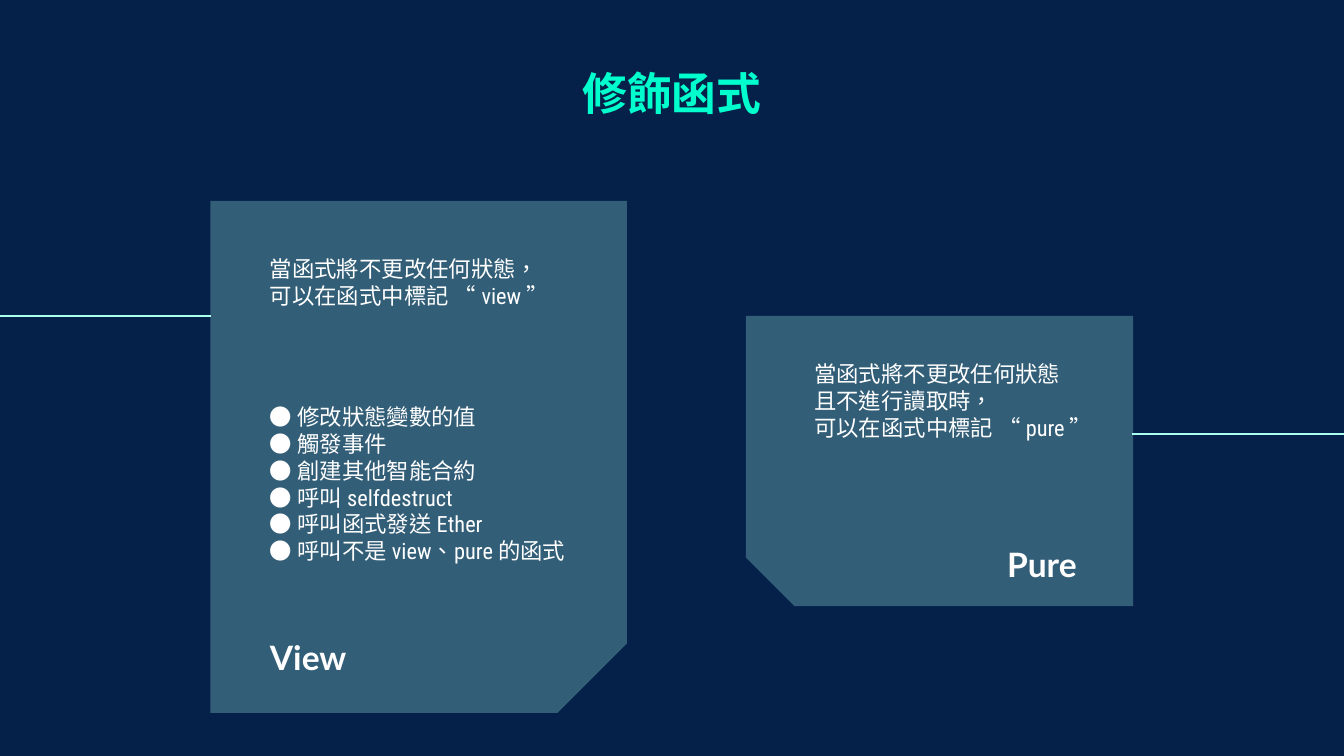
from pptx import Presentation
from pptx.dml.color import RGBColor
from pptx.enum.shapes import MSO_CONNECTOR, MSO_SHAPE
from pptx.enum.text import MSO_ANCHOR, MSO_AUTO_SIZE, PP_ALIGN
from pptx.oxml.ns import qn
from pptx.util import Inches, Pt
from lxml.etree import SubElement

COLORS = {"navy": "05214A", "mint": "AAFFEE", "green": "00FFCD", "white": "FFFFFF"}
HEAD_FONT, BODY_FONT = "Lato", "Roboto Condensed"

VIEW_RULE = ["當函式將不更改任何狀態，", "可以在函式中標記 “ view ”"]
PURE_RULE = ["當函式將不更改任何狀態", "且不進行讀取時，", "可以在函式中標記 “ pure ”"]
STATE_CHANGES = [
    "修改狀態變數的值",
    "觸發事件",
    "創建其他智能合約",
    "呼叫 selfdestruct",
    "呼叫函式發送 Ether",
    "呼叫不是 view、pure 的函式",
]


def rgb(name):
    return RGBColor.from_string(COLORS[name])


def add_card(slide, x, y, w, h, rotation, flip=False):
    """Add a translucent card with one snipped corner; the box is given before rotation."""
    sp = slide.shapes.add_shape(MSO_SHAPE.SNIP_1_RECTANGLE,
                                Inches(x), Inches(y), Inches(w), Inches(h))
    sp.adjustments[0] = 0.167
    sp.rotation = rotation
    if flip:
        sp.element.spPr.find(qn("a:xfrm")).set("flipH", "1")
    sp.shadow.inherit = False
    sp.line.fill.background()
    sp.fill.solid()
    sp.fill.fore_color.rgb = rgb("mint")
    color = sp.element.spPr.find(qn("a:solidFill"))[0]
    SubElement(color, qn("a:alpha")).set("val", "28000")


def add_rule(slide, x1, x2, y):
    line = slide.shapes.add_connector(MSO_CONNECTOR.STRAIGHT,
                                      Inches(x1), Inches(y), Inches(x2), Inches(y))
    line.line.color.rgb = rgb("mint")
    line.line.width = Pt(0.75)
    SubElement(line.element.spPr, qn("a:effectLst"))


def add_text(slide, x, y, w, h, lines, size=12, font=BODY_FONT, color="white",
             bold=False, align=PP_ALIGN.LEFT, anchor=MSO_ANCHOR.TOP, inset=0.1):
    sp = slide.shapes.add_textbox(Inches(x), Inches(y), Inches(w), Inches(h))
    tf = sp.text_frame
    tf.word_wrap = True
    tf.vertical_anchor = anchor
    tf.margin_top = tf.margin_bottom = Inches(inset)
    for i, line in enumerate(lines):
        p = tf.add_paragraph() if i else tf.paragraphs[0]
        p.alignment = align
        r = p.add_run()
        r.text = line
        r.font.size = Pt(size)
        r.font.name = font
        r.font.bold = bold
        r.font.color.rgb = rgb(color)
        r._r.get_or_add_rPr().set("lang", "zh-TW")
    return tf


def add_heading(slide, x, y, w, h, text, size=18, color="white",
                align=PP_ALIGN.LEFT, anchor=MSO_ANCHOR.BOTTOM):
    add_text(slide, x, y, w, h, [text], size, HEAD_FONT, color, True, align, anchor)


def main():
    prs = Presentation()
    prs.slide_width = Inches(10)
    prs.slide_height = prs.slide_width * 9 // 16
    slide = prs.slides.add_slide(prs.slide_layouts[6])
    slide.background.fill.solid()
    slide.background.fill.fore_color.rgb = rgb("navy")

    add_rule(slide, 10, 8.42, 3.23)
    add_rule(slide, 1.57, 0, 2.35)
    add_card(slide, 5.91, 1.99, 2.16, 2.88, 270, flip=True)
    add_heading(slide, 2.15, 0.39, 5.7, 1.03, "修飾函式", 24, "green",
                PP_ALIGN.CENTER, MSO_ANCHOR.TOP)

    add_card(slide, 1.21, 1.85, 3.81, 3.1, 90)
    add_heading(slide, 1.91, 4.67, 1.38, 0.47, "View")
    add_text(slide, 1.91, 1.8, 2.36, 0.73, VIEW_RULE)

    add_heading(slide, 6.16, 3.98, 1.95, 0.47, "Pure", align=PP_ALIGN.RIGHT)
    tf = add_text(slide, 1.91, 2.95, 2.98, 1.31,
                  [f"● {change}" for change in STATE_CHANGES], inset=0.05)
    tf.auto_size = MSO_AUTO_SIZE.SHAPE_TO_FIT_TEXT
    add_text(slide, 5.96, 2.58, 2.36, 0.73, PURE_RULE)

    prs.save("out.pptx")


if __name__ == "__main__":
    main()
